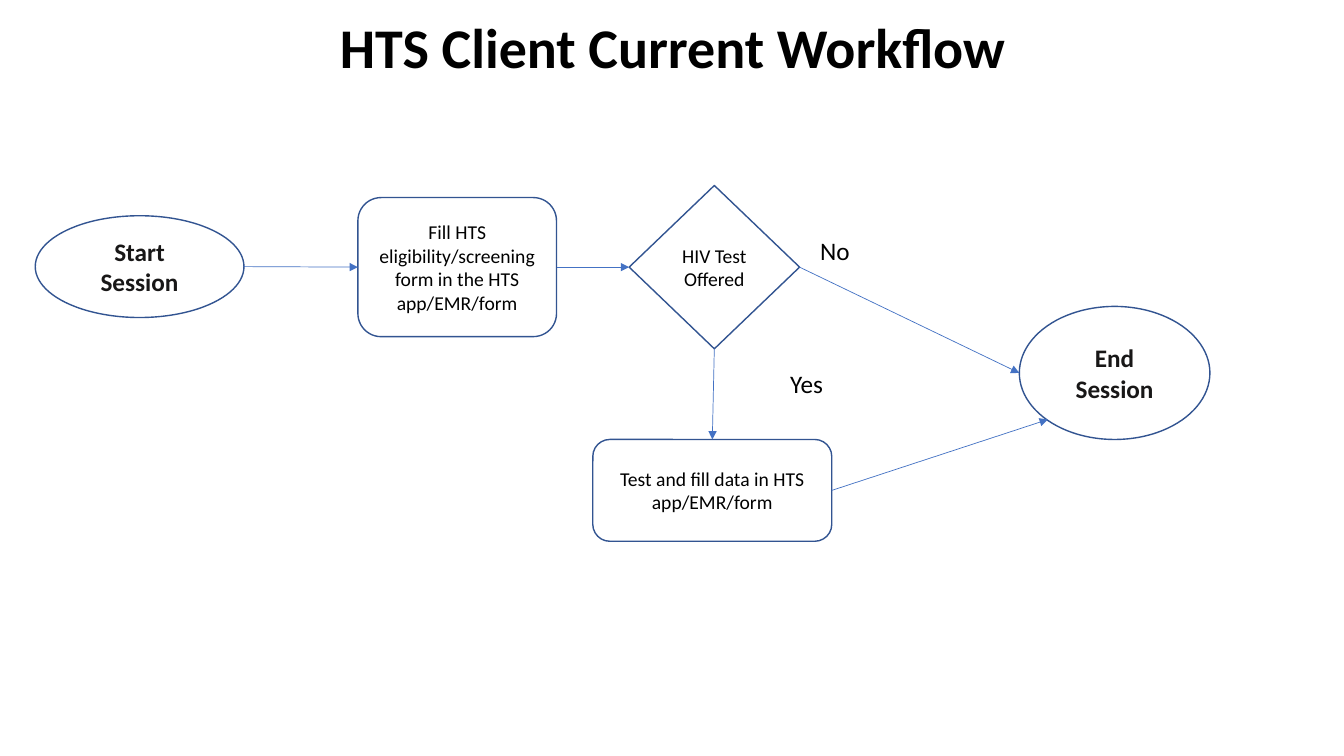
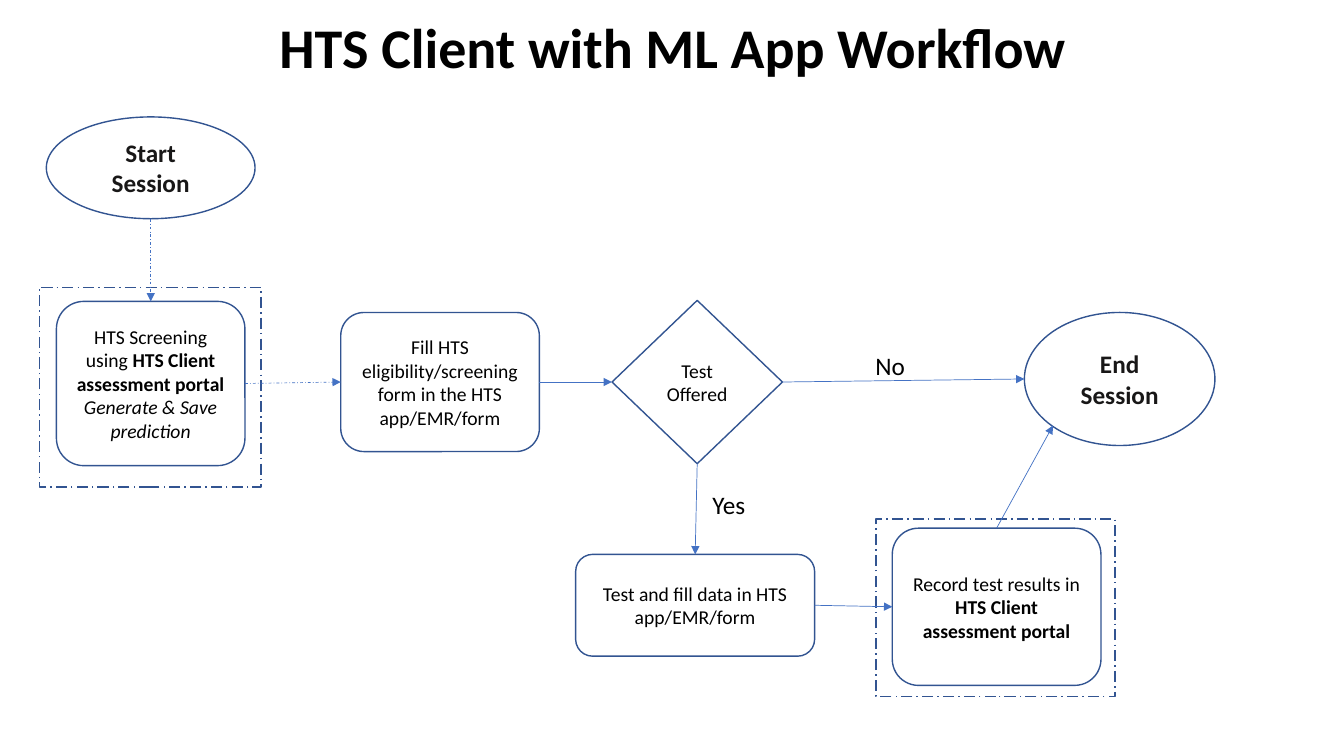
from dataclasses import dataclass

from lxml.etree import SubElement
from pptx import Presentation
from pptx.dml.color import RGBColor
from pptx.enum.dml import MSO_LINE as Dash
from pptx.enum.shapes import MSO_CONNECTOR, MSO_SHAPE as Preset
from pptx.enum.text import MSO_ANCHOR as Anchor, PP_ALIGN as Align
from pptx.oxml.ns import qn
from pptx.util import Inches, Pt


@dataclass(frozen=True)
class Theme:
    font: str = "Calibri"
    text: str = "000000"
    terminal_text: str = "181717"
    outline: str = "325491"
    arrow: str = "4472C4"
    title_size: int = 40
    large_size: int = 18
    step_size: int = 14
    outline_width: float = 1
    arrow_width: float = 0.5


theme = Theme()

# Each kind of node: preset shape and text format
KINDS = {
    "terminal": (Preset.OVAL, dict(size=theme.large_size, bold=True, color=theme.terminal_text)),
    "step": (Preset.ROUNDED_RECTANGLE, {}),
    "decision": (Preset.FLOWCHART_DECISION, dict(inset=0.05)),
    "frame": (Preset.RECTANGLE, {}),
}

# Each side: connection site and position as fractions of width and height
SIDES = {
    "top": (0, 0.5, 0),
    "left": (1, 0, 0.5),
    "bottom": (2, 0.5, 1),
    "right": (3, 1, 0.5),
    "lower left": (None, 0.15, 0.85),
}

START, END = "Start\nSession", "End\nSession"
FILL_FORM = "Fill HTS eligibility/screening form in the HTS app/EMR/form"
TEST_AND_FILL = "Test and fill data in HTS app/EMR/form"
PORTAL = ("HTS Client assessment portal", dict(bold=True))
SCREENING = [
    [("HTS Screening using ", {}), PORTAL],
    [("Generate & Save prediction", dict(italic=True))],
]
RECORDING = [[("Record test results in ", {}), PORTAL]]

# Nodes: name, kind, left, top, width, height, text
# Arrows: from node, side, to node, side, dashed
# Labels: text, left, top
SLIDES = [
    dict(
        title="HTS Client Current Workflow",
        nodes=[
            ("start", "terminal", 0.35, 2.14, 2.07, 1.01, START),
            ("form", "step", 3.55, 1.96, 1.97, 1.38, FILL_FORM),
            ("offer", "decision", 6.24, 1.84, 1.69, 1.62, "HIV Test Offered"),
            ("test", "step", 5.88, 4.36, 2.37, 1.01, TEST_AND_FILL),
            ("end", "terminal", 10.11, 3.04, 1.89, 1.32, END),
        ],
        arrows=[
            ("start", "right", "form", "left", False),
            ("form", "right", "offer", "left", False),
            ("offer", "right", "end", "left", False),
            ("offer", "bottom", "test", "top", False),
            ("test", "right", "end", "lower left", False),
        ],
        labels=[("Yes", 7.68, 3.6), ("No", 7.96, 2.29)],
    ),
    dict(
        title="HTS Client with ML App Workflow",
        nodes=[
            ("start", "terminal", 0.46, 1.16, 2.07, 1.01, START),
            ("screening", "step", 0.56, 2.99, 1.87, 1.63, SCREENING),
            ("form", "step", 3.38, 3.1, 1.97, 1.38, FILL_FORM),
            ("offer", "decision", 6.07, 2.98, 1.69, 1.62, "Test Offered"),
            ("test", "step", 5.71, 5.5, 2.37, 1.01, TEST_AND_FILL),
            ("recording", "step", 8.85, 5.24, 2.07, 1.56, RECORDING),
            ("end", "terminal", 10.16, 3.1, 1.89, 1.32, END),
            ("screening frame", "frame", 0.39, 2.85, 2.2, 1.98, None),
            ("recording frame", "frame", 8.69, 5.15, 2.37, 1.76, None),
        ],
        arrows=[
            ("start", "bottom", "screening", "top", True),
            ("screening", "right", "form", "left", True),
            ("form", "right", "offer", "left", False),
            ("offer", "right", "end", "left", False),
            ("offer", "bottom", "test", "top", False),
            ("test", "right", "recording", "left", False),
            ("recording", "top", "end", "lower left", False),
        ],
        labels=[("Yes", 6.91, 4.81), ("No", 8.51, 3.43)],
    ),
]


def write_text(shape, text, size=theme.step_size, color=theme.text, bold=False,
               anchor=Anchor.MIDDLE, inset=0.1):
    """Fill a shape with centred text: a string, or paragraphs of (text, format) spans."""
    if isinstance(text, str):
        text = [[(line, {})] for line in text.split("\n")]
    frame = shape.text_frame
    frame.word_wrap = True
    frame.vertical_anchor = anchor
    frame.margin_left = frame.margin_right = Inches(inset)
    for index, spans in enumerate(text):
        para = frame.add_paragraph() if index else frame.paragraphs[0]
        para.alignment = Align.CENTER
        for words, emphasis in spans:
            span = para.add_run()
            span.text = words
            font = span.font
            font.name, font.size = theme.font, Pt(size)
            font.color.rgb = RGBColor.from_string(color)
            font.bold = emphasis.get("bold", bold)
            font.italic = emphasis.get("italic", False)


def style_line(line, color, width, dash=None):
    line.color.rgb = RGBColor.from_string(color)
    line.width = Pt(width)
    if dash:
        line.dash_style = dash


deck = Presentation()
deck.slide_width, deck.slide_height = Inches(13.33), Inches(7.5)
title_only = deck.slide_layouts[5]

for content in SLIDES:
    page = deck.slides.add_slide(title_only)

    # Title
    title = page.shapes.title
    title.left, title.top = Inches(0.18), Inches(0.07)
    title.width, title.height = Inches(12.98), Inches(0.77)
    write_text(title, content["title"], size=theme.title_size, bold=True)

    # Nodes and frames
    nodes = {}
    for name, kind, left, top, width, height, text in content["nodes"]:
        preset, text_format = KINDS[kind]
        box = page.shapes.add_shape(
            preset, Inches(left), Inches(top), Inches(width), Inches(height))
        box.shadow.inherit = False
        box.fill.background()
        style_line(box.line, theme.outline, theme.outline_width,
                   Dash.LONG_DASH_DOT if kind == "frame" else None)
        if text:
            write_text(box, text, **text_format)
        nodes[name] = box

    # Arrows
    for source, source_side, target, target_side, dashed in content["arrows"]:
        ends = [(nodes[source], *SIDES[source_side]), (nodes[target], *SIDES[target_side])]
        points = []
        for box, site, across, down in ends:
            points += [int(box.left + across * box.width), int(box.top + down * box.height)]
        arrow = page.shapes.add_connector(MSO_CONNECTOR.STRAIGHT, *points)
        for (box, site, *_), join in zip(ends, (arrow.begin_connect, arrow.end_connect)):
            # Ovals number their connection sites differently
            if box.auto_shape_type != Preset.OVAL:
                join(box, site)
        style_line(arrow.line, theme.arrow, theme.arrow_width,
                   Dash.DASH_DOT if dashed else None)
        properties = arrow.element.spPr
        SubElement(properties.find(qn("a:ln")), qn("a:tailEnd"), type="triangle")
        SubElement(properties, qn("a:effectLst"))

    # Branch labels
    for text, left, top in content["labels"]:
        label = page.shapes.add_textbox(Inches(left), Inches(top), Inches(0.64), Inches(0.4))
        write_text(label, text, size=theme.large_size, anchor=Anchor.TOP)

deck.save("out.pptx")
